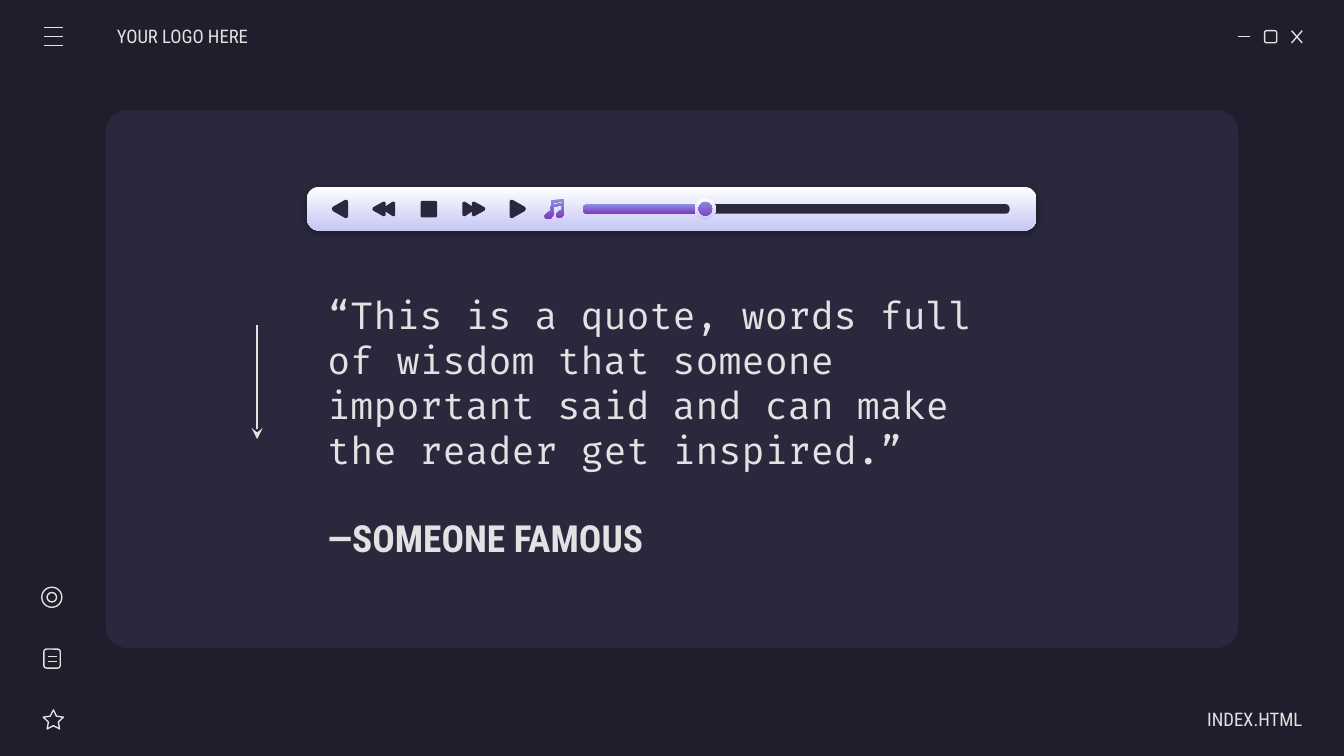
"""Builds a quote slide styled as a media player in a dark browser window."""
from dataclasses import dataclass

from lxml import etree
from pptx import Presentation
from pptx.dml.color import RGBColor
from pptx.enum.shapes import MSO_CONNECTOR, MSO_SHAPE
from pptx.enum.text import MSO_ANCHOR, PP_ALIGN
from pptx.oxml.ns import qn
from pptx.util import Cm, Pt

STRAIGHT = MSO_CONNECTOR.STRAIGHT
ROUNDED, OVAL = MSO_SHAPE.ROUNDED_RECTANGLE, MSO_SHAPE.OVAL
DONUT, STAR = MSO_SHAPE.DONUT, MSO_SHAPE.STAR_5_POINT
MIDDLE = MSO_ANCHOR.MIDDLE
LEFT, RIGHT = PP_ALIGN.LEFT, PP_ALIGN.RIGHT


@dataclass(frozen=True)
class Theme:
    backdrop: str = "1E1E2C"
    panel: str = "29283D"
    ink: str = "E2E2E2"
    silver: tuple = ("FFFFFF", "C5C7F4")
    violet: tuple = ("8D90E1", "7E3BBE")
    shadow: str = "000000"
    heading_font: str = "Roboto Condensed"
    quote_font: str = "Fira Code"
    large: int = 20
    small: int = 10
    stroke: float = 0.75


THEME = Theme()

TEXTS = [
    ("—SOMEONE FAMOUS", (5.94, 9.6, 13.49, 1.14), THEME.heading_font,
     THEME.large, True, LEFT, (0.25, 0.25)),
    ("“This is a quote, words full of wisdom that someone important said "
     "and can make the reader get inspired.”", (5.94, 4.85, 13.49, 4.75),
     THEME.quote_font, THEME.large, False, LEFT, (0.25, 0.25)),
    ("YOUR LOGO HERE", (2.21, 0.3, 2.97, 0.76), THEME.heading_font,
     THEME.small, False, LEFT, (0, 0.25)),
    ("INDEX.HTML", (21.64, 13.21, 2.97, 0.76), THEME.heading_font,
     THEME.small, False, RIGHT, (0.25, 0)),
]

MENU_BARS = [(0.83, 0.52 + 0.17 * row, 1.2, 0.52 + 0.17 * row) for row in range(3)]
WINDOW_STROKES = [(23.39, 0.69, 23.62, 0.69), (24.41, 0.58, 24.61, 0.81),
                  (24.61, 0.58, 24.41, 0.81)]
DOCUMENT_LINES = [(0.9, y, 1.07, y) for y in (12.41, 12.5)]
READING_ARROW = (4.86, 6.15, 4.86, 8.3)

OUTLINED_ICONS = [
    (ROUNDED, (23.9, 0.58, 0.23, 0.23), 0.17),
    (STAR, (0.82, 13.42, 0.38, 0.36), 0.25),
    (ROUNDED, (0.83, 12.27, 0.31, 0.36), 0.17),
    (OVAL, (0.79, 11.1, 0.38, 0.38), None),
    (OVAL, (0.89, 11.2, 0.18, 0.18), None),
]

CONTROLS_Y = 3.95
KNOB_X, KNOB_SIZE, RING_SIZE = 13.33, 0.36, 0.4
TRACK_HEIGHT = 0.18
TRACKS = [(13.33, 19.08, THEME.panel), (11.02, 13.44, THEME.violet)]

PLAY_TOP = [(0, -0.14), (0.02, -0.17), (0.06, -0.17), (0.29, -0.04), (0.31, 0)]
SKIP_TOP = [(0, -0.12), (0.03, -0.14), (0.06, -0.13), (0.18, -0.05),
            (0.18, -0.12), (0.21, -0.14), (0.24, -0.13), (0.42, -0.03), (0.43, 0)]
CONTROLS = [(PLAY_TOP, 6.58, -1), (SKIP_TOP, 7.47, -1),
            (SKIP_TOP, 8.74, 1), (PLAY_TOP, 9.63, 1)]

NOTE_ORIGIN = (10.29, 3.76)
NOTE_OUTLINE = [
    (0.37, 0), (0.13, 0.03), (0.12, 0.24), (0.07, 0.25), (0, 0.32), (0.02, 0.36),
    (0.07, 0.38), (0.13, 0.36), (0.17, 0.3), (0.17, 0.15), (0.33, 0.12),
    (0.33, 0.22), (0.28, 0.23), (0.22, 0.29), (0.23, 0.34), (0.28, 0.36),
    (0.34, 0.34), (0.38, 0.27), (0.38, 0.02)]
NOTE_GAP = [(0.33, 0.05), (0.33, 0.08), (0.17, 0.11), (0.17, 0.08)]


def paint(part, fill=None, outline=None):
    part.shadow.inherit = False
    if fill is None:
        part.fill.background()
    elif isinstance(fill, tuple):
        part.fill.gradient()
        part.fill.gradient_angle = 270
        for stop, colour in zip(part.fill.gradient_stops, fill):
            stop.color.rgb = RGBColor.from_string(colour)
    else:
        part.fill.solid()
        part.fill.fore_color.rgb = RGBColor.from_string(fill)
    if outline:
        part.line.color.rgb = RGBColor.from_string(outline)
        part.line.width = Pt(THEME.stroke)
    else:
        part.line.fill.background()
    return part


def add_preset(shapes, preset, box, adjustment=None, **colours):
    part = shapes.add_shape(preset, *map(Cm, box))
    if adjustment is not None:
        part.adjustments[0] = adjustment
    return paint(part, **colours)


def add_round(shapes, preset, size, fill, adjustment=None):
    box = (KNOB_X - size / 2, CONTROLS_Y - size / 2, size, size)
    add_preset(shapes, preset, box, adjustment, fill=fill)


def add_outline(shapes, contours, fill):
    (first, *rest), *holes = [[(Cm(x), Cm(y)) for x, y in c] for c in contours]
    builder = shapes.build_freeform(*first, scale=1.0)
    builder.add_line_segments(rest, close=True)
    for start, *others in holes:
        builder.move_to(*start)
        builder.add_line_segments(others, close=True)
    paint(builder.convert_to_shape(), fill)


def add_stroke(shapes, ends, arrow=False):
    stroke = shapes.add_connector(STRAIGHT, *map(Cm, ends))
    stroke.line.color.rgb = RGBColor.from_string(THEME.ink)
    stroke.line.width = Pt(THEME.stroke)
    if arrow:
        etree.SubElement(stroke.line._get_or_add_ln(), qn("a:tailEnd"), type="stealth")
    etree.SubElement(stroke._element.spPr, qn("a:effectLst"))


def add_drop_shadow(part):
    effects = part._element.spPr.find(qn("a:effectLst"))
    drop = etree.SubElement(effects, qn("a:outerShdw"), blurRad=str(Pt(4.5)),
                            dist=str(Pt(1.5)), dir="5400000", algn="bl", rotWithShape="0")
    colour = etree.SubElement(drop, qn("a:srgbClr"), val=THEME.shadow)
    etree.SubElement(colour, qn("a:alpha"), val="30000")


def add_text(shapes, wording, box, font, size, bold, alignment, insets):
    frame = shapes.add_textbox(*map(Cm, box)).text_frame
    frame.word_wrap = True
    frame.vertical_anchor = MIDDLE
    frame.margin_left, frame.margin_right = map(Cm, insets)
    frame.margin_top = frame.margin_bottom = Cm(0.25)
    frame.text = wording
    paragraph = frame.paragraphs[0]
    paragraph.alignment = alignment
    style = paragraph.runs[0].font
    style.name, style.size, style.bold = font, Pt(size), bold
    style.color.rgb = RGBColor.from_string(THEME.ink)


def add_player(shapes):
    bar = add_preset(shapes, ROUNDED, (5.8, 3.53, 13.79, 0.83), 0.29, fill=THEME.silver)
    add_drop_shadow(bar)
    for start, end, fill in TRACKS:
        box = (start, CONTROLS_Y - TRACK_HEIGHT / 2, end - start, TRACK_HEIGHT)
        add_preset(shapes, ROUNDED, box, 0.4, fill=fill)
    add_round(shapes, OVAL, KNOB_SIZE, THEME.violet)
    add_round(shapes, DONUT, RING_SIZE, THEME.silver, 0.13)
    note = [[(NOTE_ORIGIN[0] + x, NOTE_ORIGIN[1] + y) for x, y in contour]
            for contour in (NOTE_OUTLINE, NOTE_GAP)]
    add_outline(shapes, note, THEME.violet)
    for top, base, direction in CONTROLS:
        profile = top + [(x, -y) for x, y in top[-2::-1]]
        contour = [(base + direction * x, CONTROLS_Y + y) for x, y in profile]
        add_outline(shapes, [contour], THEME.panel)
    add_preset(shapes, ROUNDED, (7.95, 3.8, 0.31, 0.31), 0.1, fill=THEME.panel)


def main():
    deck = Presentation()
    deck.slide_width, deck.slide_height = Cm(25.4), Cm(14.29)
    slide = deck.slides.add_slide(deck.slide_layouts[6])
    slide.background.fill.solid()
    slide.background.fill.fore_color.rgb = RGBColor.from_string(THEME.backdrop)
    shapes = slide.shapes
    add_preset(shapes, ROUNDED, (2, 2.08, 21.4, 10.17), 0.04, fill=THEME.panel)
    for text in TEXTS:
        add_text(shapes, *text)
    for preset, box, adjustment in OUTLINED_ICONS:
        add_preset(shapes, preset, box, adjustment, outline=THEME.ink)
    for ends in MENU_BARS + WINDOW_STROKES + DOCUMENT_LINES:
        add_stroke(shapes, ends)
    add_stroke(shapes, READING_ARROW, arrow=True)
    add_player(shapes)
    deck.save("out.pptx")


if __name__ == "__main__":
    main()
